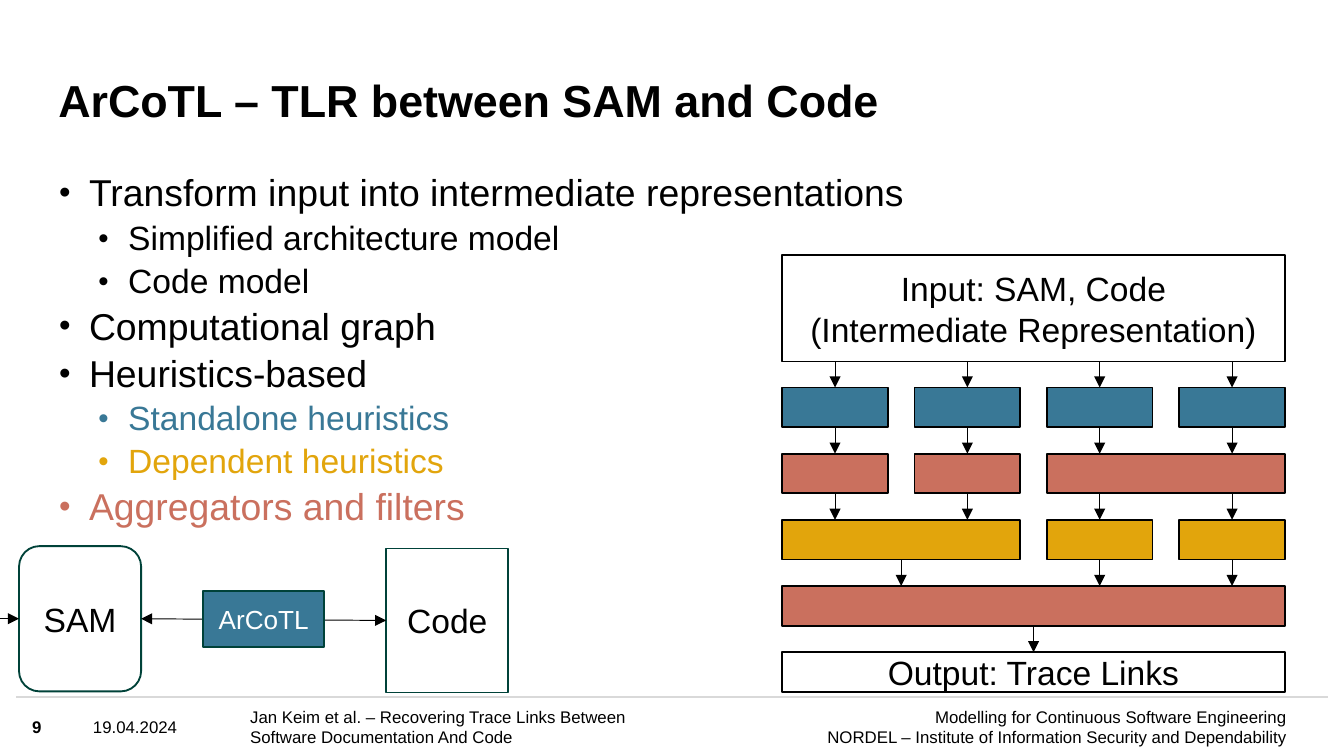
from lxml.etree import SubElement
from pptx import Presentation
from pptx.dml.color import RGBColor
from pptx.enum.shapes import MSO_CONNECTOR, MSO_SHAPE
from pptx.enum.text import MSO_ANCHOR, PP_ALIGN
from pptx.oxml.ns import qn
from pptx.util import Pt

BLACK, WHITE, GREEN, GREY = "000000", "FFFFFF", "004239", "D9D9D9"
STANDALONE, DEPENDENT, AGGREGATOR = "397896", "E2A50C", "CA705E"
TOP, LEFT, BOTTOM, RIGHT = range(4)

GRAPH_LEFT, BOX_WIDTH, COLUMN_PITCH = 419, 56.7, 70.9
FIRST_LAYER_TOP, LAYER_PITCH, LAYER_HEIGHT = 207.6, 35.45, 21.3
INPUT_TOP, INPUT_HEIGHT = 136.8, 56.9

BULLETS = [
    (0, "Transform input into intermediate representations", BLACK),
    (1, "Simplified architecture model", BLACK),
    (1, "Code model", BLACK),
    (0, "Computational graph", BLACK),
    (0, "Heuristics-based", BLACK),
    (1, "Standalone heuristics", STANDALONE),
    (1, "Dependent heuristics", DEPENDENT),
    (0, "Aggregators and filters", AGGREGATOR),
]

LAYERS = [
    [(0, 4, WHITE, "Input: SAM, Code\n(Intermediate Representation)")],
    [(column, 1, STANDALONE, "") for column in range(4)],
    [(0, 1, AGGREGATOR, ""), (1, 1, AGGREGATOR, ""), (2, 2, AGGREGATOR, "")],
    [(0, 2, DEPENDENT, ""), (2, 1, DEPENDENT, ""), (3, 1, DEPENDENT, "")],
    [(0, 4, AGGREGATOR, "")],
    [(0, 4, WHITE, "Output: Trace Links")],
]


def rgb(hex_color):
    """Turn a hex string into a colour."""
    return RGBColor.from_string(hex_color)


def write_text(frame, text, *, size, color=BLACK, bold=False, align=PP_ALIGN.LEFT,
               line_spacing=None, space_before=0, bullet_indent=None):
    """Append one paragraph per line of text to a text frame."""
    for line in text.split("\n"):
        first = frame.paragraphs[0]
        paragraph = frame.add_paragraph() if first.runs else first
        paragraph.alignment = align
        paragraph.line_spacing = line_spacing
        paragraph.space_before = Pt(space_before)
        run = paragraph.add_run()
        run.text = line
        run.font.name, run.font.size, run.font.bold = "Arial", Pt(size), bold
        run.font.color.rgb = rgb(color)
        if bullet_indent is not None:
            properties = paragraph._p.get_or_add_pPr()
            properties.set("marL", str(Pt(bullet_indent)))
            properties.set("indent", str(Pt(-16)))
            SubElement(properties, qn("a:buSzPct")).set("val", "88000")
            SubElement(properties, qn("a:buFont")).set("typeface", "Arial")
            SubElement(properties, qn("a:buChar")).set("char", "•")


def add_text_area(slide, left, top, width, height, anchor=MSO_ANCHOR.MIDDLE):
    """Add an empty text box without margins and return its frame."""
    frame = slide.shapes.add_textbox(Pt(left), Pt(top), Pt(width), Pt(height)).text_frame
    frame.word_wrap = True
    frame.vertical_anchor = anchor
    frame.margin_left = frame.margin_right = frame.margin_top = frame.margin_bottom = 0
    return frame


def add_box(slide, left, top, width, height, *, fill=None, border=BLACK,
            kind=MSO_SHAPE.RECTANGLE, text="", size=18, color=BLACK):
    """Add an outlined box with optional centred text."""
    box = slide.shapes.add_shape(kind, Pt(left), Pt(top), Pt(width), Pt(height))
    box.shadow.inherit = False
    if fill:
        box.fill.solid()
        box.fill.fore_color.rgb = rgb(fill)
    else:
        box.fill.background()
    box.line.color.rgb = rgb(border)
    box.line.width = Pt(1)
    if text:
        box.text_frame.word_wrap = True
        box.text_frame.vertical_anchor = MSO_ANCHOR.MIDDLE
        write_text(box.text_frame, text, size=size, color=color, align=PP_ALIGN.CENTER)
    return box


def add_line(slide, start, end, *, color=BLACK, width=0.5, heads=()):
    """Add a straight line with triangles at the named ends."""
    line = slide.shapes.add_connector(
        MSO_CONNECTOR.STRAIGHT, *(Pt(value) for value in (*start, *end)))
    line.line.color.rgb = rgb(color)
    line.line.width = Pt(width)
    for head in heads:
        SubElement(line.line._get_or_add_ln(), qn(f"a:{head}")).set("type", "triangle")
    SubElement(line._element.spPr, qn("a:effectLst"))
    return line


def column_span(first, count):
    """Return the left and right edge of a run of graph columns."""
    left = GRAPH_LEFT + first * COLUMN_PITCH
    return left, left + (count - 1) * COLUMN_PITCH + BOX_WIDTH


def add_layer(slide, index, nodes):
    """Add one graph layer and return its boxes with their edges."""
    top, height = FIRST_LAYER_TOP + (index - 1) * LAYER_PITCH, LAYER_HEIGHT
    if index == 0:
        top, height = INPUT_TOP, INPUT_HEIGHT
    layer = []
    for first, count, fill, text in nodes:
        left, right = column_span(first, count)
        box = add_box(slide, left, top, right - left, height, fill=fill, text=text)
        layer.append((box, left, right, top, top + height))
    return layer


def link_layers(slide, upper_layer, lower_layer):
    """Draw an arrow in the middle of each overlap of two layers."""
    for upper, upper_left, upper_right, _, start_y in upper_layer:
        for lower, lower_left, lower_right, end_y, _ in lower_layer:
            left, right = max(upper_left, lower_left), min(upper_right, lower_right)
            if left >= right:
                continue
            x = (left + right) / 2
            arrow = add_line(slide, (x, start_y), (x, end_y), heads=["tailEnd"])
            if abs(upper_left + upper_right - 2 * x) < 0.1:
                arrow.begin_connect(upper, BOTTOM)
            if abs(lower_left + lower_right - 2 * x) < 0.1:
                arrow.end_connect(lower, TOP)


def add_graph(slide):
    """Add the computational graph."""
    layers = [add_layer(slide, index, nodes) for index, nodes in enumerate(LAYERS)]
    for upper_layer, lower_layer in zip(layers, layers[1:]):
        link_layers(slide, upper_layer, lower_layer)


def add_overview(slide):
    """Add the chain from SAM over ArCoTL to Code."""
    code = add_box(slide, 206.9, 293.8, 65.4, 77.2, border=GREEN, text="Code")
    sam = add_box(slide, 10.2, 292.6, 65.4, 77.8, fill=WHITE, border=GREEN,
                  kind=MSO_SHAPE.ROUNDED_RECTANGLE, text="SAM")
    incoming = add_line(slide, (0, 331.5), (10.2, 331.5), heads=["tailEnd"])
    incoming.end_connect(sam, LEFT)
    trace = add_line(slide, (75.6, 331.5), (206.9, 332.4), heads=["headEnd", "tailEnd"])
    trace.begin_connect(sam, RIGHT)
    trace.end_connect(code, LEFT)
    add_box(slide, 108.8, 316.7, 65, 30.1, fill=STANDALONE, border=GREEN,
            text="ArCoTL", size=14, color=WHITE)


def add_footer(slide):
    """Add the footer rule and its four texts."""
    add_line(slide, (8.6, 373.5), (711.4, 373.5), color=GREY, width=1)
    entries = [
        (17.2, 26, "9", {"bold": True}),
        (49.8, 80.6, "19.04.2024", {}),
        (134, 290, "Jan Keim et al. – Recovering Trace Links Between\n"
                   "Software Documentation And Code", {}),
        (433.4, 255.6, "Modelling for Continuous Software Engineering\n"
                       "NORDEL – Institute of Information Security and Dependability",
         {"align": PP_ALIGN.RIGHT}),
    ]
    for left, width, text, text_format in entries:
        frame = add_text_area(slide, left, 373.7, width, 31)
        write_text(frame, text, size=9, **text_format)


def main():
    """Build and save the slide."""
    presentation = Presentation()
    presentation.slide_width, presentation.slide_height = Pt(720), Pt(405)
    slide = presentation.slides.add_slide(presentation.slide_layouts[6])
    add_footer(slide)
    title = add_text_area(slide, 31.2, 23, 540.7, 45.4, MSO_ANCHOR.BOTTOM)
    write_text(title, "ArCoTL – TLR between SAM and Code", size=24, bold=True,
               line_spacing=0.9)
    body = add_text_area(slide, 31.7, 93.6, 656.6, 265, MSO_ANCHOR.TOP)
    for level, text, color in BULLETS:
        write_text(body, text, size=20 - 2 * level, color=color, line_spacing=0.9,
                   space_before=3.6, bullet_indent=16 + 21 * level)
    add_overview(slide)
    add_graph(slide)
    presentation.save("out.pptx")


if __name__ == "__main__":
    main()
